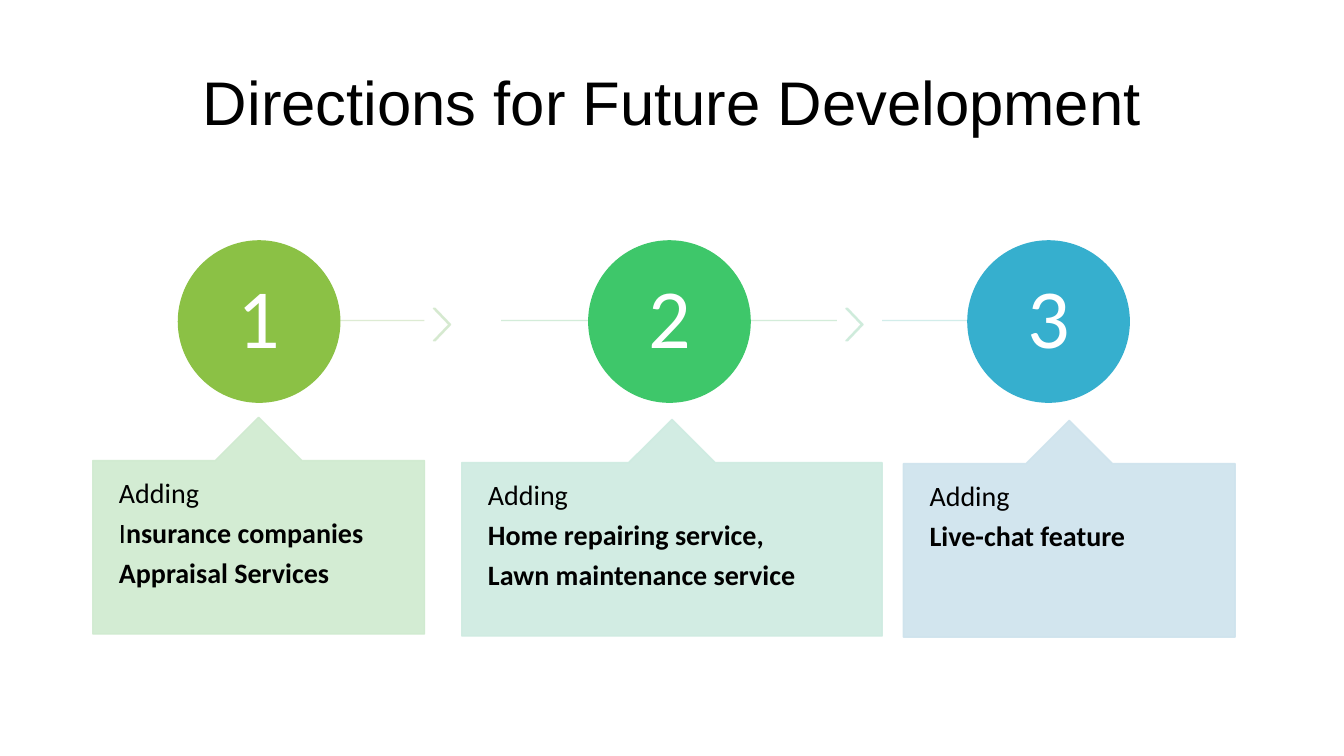
from lxml.etree import SubElement
from pptx import Presentation
from pptx.dml.color import RGBColor
from pptx.enum.shapes import MSO_CONNECTOR as Link, MSO_SHAPE as Kind
from pptx.enum.text import MSO_ANCHOR as Anchor, PP_ALIGN as Align
from pptx.oxml.ns import qn
from pptx.util import Inches, Pt

SIZE = 1.6
TOP = 2.39
MID = 3.18
STEPS = [
    dict(num="1", left=1.77, hue="8BC145", line=(2.75, 4.21, "DAE9CF"),
         tip=(4.3, "D5E9CF"), card=(0.92, 4.14, 3.29, "CFEACF"),
         text=[[("Adding", False)],
               [("I", False), ("nsurance companies", True)],
               [("Appraisal Services", True)]]),
    dict(num="2", left=5.84, hue="3EC76A", line=(4.97, 8.3, "CFEAD5"),
         tip=(8.39, "CEEBDB"), card=(4.58, 4.16, 4.17, "CEEBE1"),
         text=[[("Adding", False)],
               [("Home repairing service,", True)],
               [("Lawn maintenance service", True)]]),
    dict(num="3", left=9.6, hue="36AFCE", line=(8.75, 10.4, "CEECE8"),
         tip=None, card=(8.96, 4.17, 3.29, "CEE3ED"),
         text=[[("Adding", False)],
               [("Live-chat feature", True)]]),
]


def paint(fmt, hue, alpha=100):
    fmt.solid()
    fmt.fore_color.rgb = RGBColor.from_string(hue)
    if alpha < 100:
        for clr in fmt._xPr.iter(qn("a:srgbClr")):
            SubElement(clr, qn("a:alpha")).set("val", str(alpha * 1000))


def draw(slide, kind, box, hue, alpha=100, adj=()):
    shape = slide.shapes.add_shape(kind, *map(Inches, box))
    shape.shadow.inherit = False
    for i, val in enumerate(adj):
        shape.adjustments[i] = val
    paint(shape.fill, hue)
    paint(shape.line.fill, hue)
    shape.line.width = Pt(1)
    if alpha < 100:
        for clr in shape._element.spPr.iter(qn("a:srgbClr")):
            SubElement(clr, qn("a:alpha")).set("val", str(alpha * 1000))


def link(slide, start, end, hue):
    line = slide.shapes.add_connector(
        Link.STRAIGHT, Inches(start), Inches(MID), Inches(end), Inches(MID))
    line.line.width = Pt(1)
    paint(line.line.fill, hue, 90)
    SubElement(line._element.spPr, qn("a:effectLst"))


def write(frame, paras, size, hue, font="Calibri", align=Align.LEFT, gap=0.35):
    for i, runs in enumerate(paras):
        para = frame.add_paragraph() if i else frame.paragraphs[0]
        para.alignment = align
        para.line_spacing = 0.9
        para.space_before = Pt(0)
        para.space_after = Pt(size * gap)
        for text, bold in runs:
            run = para.add_run()
            run.text = text
            run.font.name = font
            run.font.size = Pt(size)
            run.font.bold = bold
            paint(run.font.fill, hue)


def label(slide, box, pad, anchor):
    frame = slide.shapes.add_textbox(*map(Inches, box)).text_frame
    frame.word_wrap = True
    frame.vertical_anchor = anchor
    frame.margin_left = frame.margin_right = Inches(pad[0])
    frame.margin_top = frame.margin_bottom = Inches(pad[1])
    return frame


def head(slide, box, text):
    title = slide.shapes.title
    title.left, title.top, title.width, title.height = map(Inches, box)
    title.text_frame.vertical_anchor = Anchor.MIDDLE
    write(title.text_frame, [[(text, False)]], 44, "000000", "Arial",
          Align.CENTER, 0)


def badge(slide, left, top, num, hue):
    draw(slide, Kind.OVAL, (left, top, SIZE, SIZE), hue)
    side = 1.13
    inset = (SIZE - side) / 2
    frame = label(slide, (left + inset, top + inset, side, side),
                  (0.06, 0.06), Anchor.MIDDLE)
    write(frame, [[(num, False)]], 60, "FFFFFF", align=Align.CENTER)


def card(slide, left, top, width, hue, text):
    high = 2.15
    peak = 0.2 * high
    draw(slide, Kind.UP_ARROW_CALLOUT, (left, top, width, high), hue, 90,
         (0.5, 0.2, 0.2, 1))
    frame = label(slide, (left, top + peak, width, high - peak),
                  (0.26, 0.18), Anchor.TOP)
    write(frame, text, 20, "000000")


def step(slide, part):
    link(slide, *part["line"])
    if part["tip"]:
        left, hue = part["tip"]
        draw(slide, Kind.CHEVRON, (left, 3.06, 0.17, 0.32), hue, 90, (0.9,))
    badge(slide, part["left"], TOP, part["num"], part["hue"])
    card(slide, *part["card"], part["text"])


def main():
    deck = Presentation()
    deck.slide_width = Inches(13.33)
    deck.slide_height = Inches(7.5)
    slide = deck.slides.add_slide(deck.slide_layouts[5])
    paint(slide.background.fill, "FFFFFF")
    head(slide, (0.92, 0.5, 11.5, 1.1), "Directions for Future Development")
    for part in STEPS:
        step(slide, part)
    deck.save("out.pptx")


if __name__ == "__main__":
    main()
